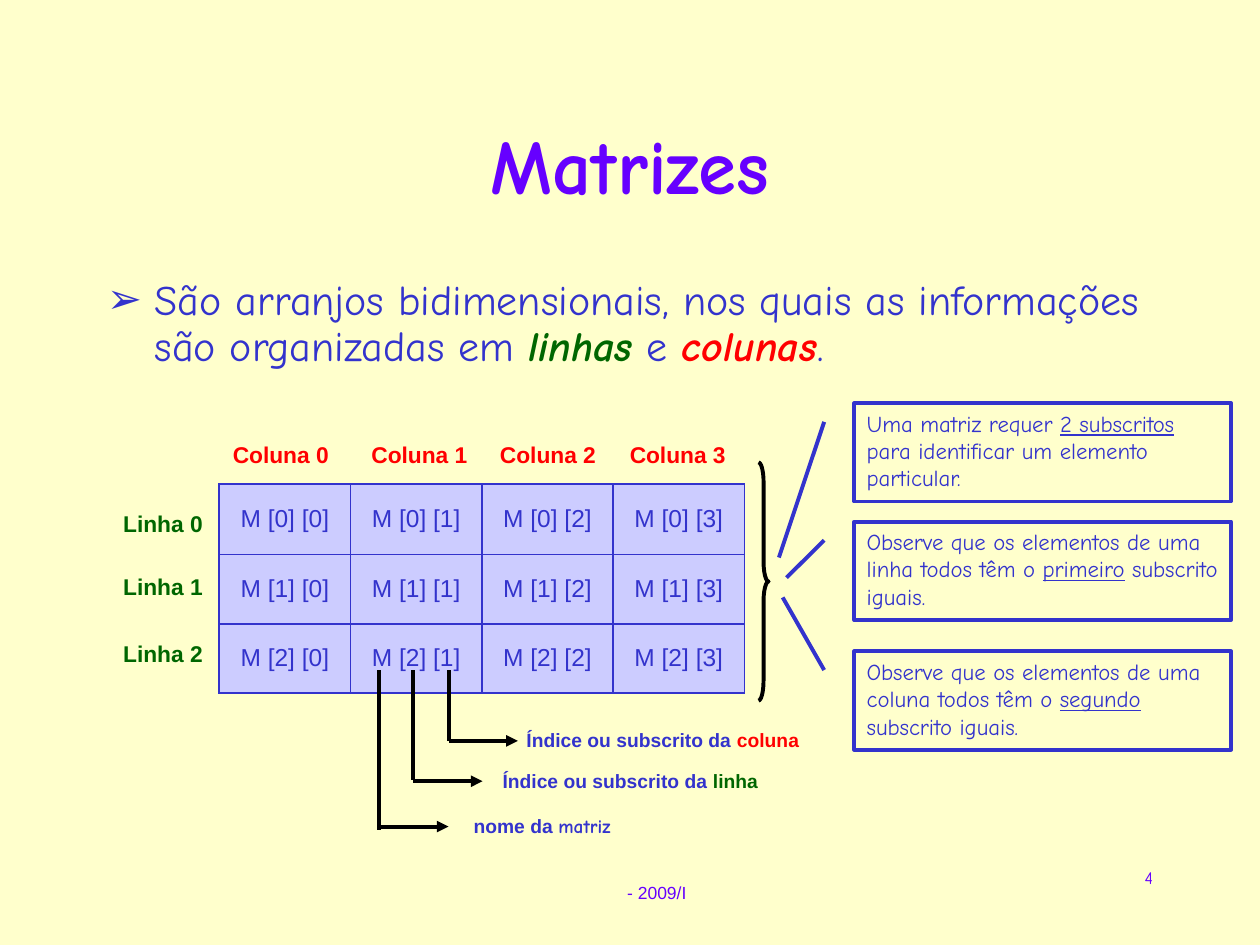
from lxml import etree
from pptx import Presentation
from pptx.dml.color import RGBColor
from pptx.enum import shapes, text
from pptx.oxml import ns
from pptx.util import Inches, Pt

CREAM = RGBColor(0xFF, 0xFF, 0xCC)
VIOLET = RGBColor(0x66, 0x00, 0xFF)
BLUE = RGBColor(0x33, 0x33, 0xCC)
LILAC = RGBColor(0xCC, 0xCC, 0xFF)
RED = RGBColor(0xFF, 0x00, 0x00)
GREEN = RGBColor(0x00, 0x66, 0x00)
BLACK = RGBColor(0x00, 0x00, 0x00)
SANS, COMIC = "Arial", "Comic Neue"


def write(frame, runs, size, font, color, align=text.PP_ALIGN.LEFT, **shared):
    """Fill the first paragraph; each run is (wording, overrides of the shared style)."""
    paragraph = frame.paragraphs[0]
    paragraph.alignment = align
    for wording, changes in runs:
        style = {"name": font, "color": color, **shared, **changes}
        run = paragraph.add_run()
        run.text = wording
        run.font.size = Pt(size)
        run.font.color.rgb = style.pop("color")
        for attribute, value in style.items():
            setattr(run.font, attribute, value)


def add_text(left, top, width, height, *args, wrap=False, **style):
    frame = slide.shapes.add_textbox(
        Inches(left), Inches(top), Inches(width), Inches(height)).text_frame
    frame.word_wrap = wrap
    write(frame, *args, **style)
    return frame


deck = Presentation()
deck.slide_width, deck.slide_height = Inches(10), Inches(7.5)
slide = deck.slides.add_slide(deck.slide_layouts[6])
slide.background.fill.solid()
slide.background.fill.fore_color.rgb = CREAM

# Footer, title and definition
add_text(4.88, 6.95, 0.67, 0.27, [("- 2009/I", {})], 10, SANS, VIOLET)
title = add_text(0.75, 0.67, 8.5, 1.25, [("Matrizes", {})], 44, COMIC, VIOLET,
                 wrap=True, align=text.PP_ALIGN.CENTER, bold=True)
title.vertical_anchor = text.MSO_ANCHOR.MIDDLE

definition = add_text(
    0.75, 2.17, 8.5, 1.11,
    [("São arranjos bidimensionais, nos quais as informações são organizadas em ", {}),
     ("linhas", {"color": GREEN, "bold": True, "italic": True}),
     (" e ", {}),
     ("colunas", {"color": RED, "bold": True, "italic": True}),
     (".", {})],
    24, COMIC, BLUE, wrap=True).paragraphs[0]
properties = definition._p.get_or_add_pPr()
properties.set("marL", str(Inches(0.38)))
properties.set("indent", str(-Inches(0.38)))
bullet_color = etree.SubElement(properties, ns.qn("a:buClr"))
etree.SubElement(bullet_color, ns.qn("a:srgbClr"), val=str(BLUE))
etree.SubElement(properties, ns.qn("a:buFont"), typeface=COMIC)
etree.SubElement(properties, ns.qn("a:buChar"), char="➢")
definition.line_spacing = 0.9

# Matrix
ROW_HEIGHTS = [0.56, 0.55, 0.55]
COLUMNS = 4
matrix = slide.shapes.add_table(
    len(ROW_HEIGHTS), COLUMNS, Inches(1.74), Inches(3.84), Inches(4.17), Inches(1.66)).table
matrix.first_row = matrix.horz_banding = False
for row, height in enumerate(ROW_HEIGHTS):
    matrix.rows[row].height = Inches(height)
    for column in range(COLUMNS):
        cell = matrix.cell(row, column)
        cell.vertical_anchor = text.MSO_ANCHOR.MIDDLE
        write(cell.text_frame, [(f"M [{row}] [{column}]", {})], 14, SANS, BLUE,
              align=text.PP_ALIGN.CENTER)
        cell_properties = cell._tc.get_or_add_tcPr()
        for side in ("lnL", "lnR", "lnT", "lnB"):
            border = etree.SubElement(cell_properties, ns.qn(f"a:{side}"), w=str(Pt(1.08)))
            border_fill = etree.SubElement(border, ns.qn("a:solidFill"))
            etree.SubElement(border_fill, ns.qn("a:srgbClr"), val=str(BLUE))
        cell.fill.solid()
        cell.fill.fore_color.rgb = LILAC

for number, left in enumerate([1.75, 2.85, 3.87, 4.9]):
    add_text(left, 3.45, 0.96, 0.32, [(f"Coluna {number}", {})], 13, SANS, RED, bold=True)
for number, top in enumerate([4, 4.5, 5.03]):
    add_text(0.88, top, 0.83, 0.32, [(f"Linha {number}", {})], 13, SANS, GREEN, bold=True)

# Parts of an element: stem x, stem bottom, arrow y, label box, label runs
INDEX = "Índice ou subscrito da "
element_parts = [
    (3.56, 5.88, 5.88, (4.08, 5.73, 2.42), INDEX, "coluna", {"color": RED}),
    (3.28, 6.19, 6.2, (3.89, 6.06, 2.28), INDEX, "linha", {"color": GREEN}),
    (3.01, 6.59, 6.56, (3.66, 6.41, 1.32), "nome da ", "matriz", {"name": COMIC}),
]
for x, stem_bottom, arrow_y, label_box, lead, term, term_style in element_parts:
    for start, end, has_head in [((x, 5.32), (x, stem_bottom), False),
                                 ((x, arrow_y), (x + 0.55, arrow_y), True)]:
        pointer = slide.shapes.add_connector(
            shapes.MSO_CONNECTOR.STRAIGHT, *map(Inches, start + end))
        pointer.line.color.rgb = BLACK
        pointer.line.width = Pt(2.25)
        if has_head:
            etree.SubElement(pointer.line._get_or_add_ln(), ns.qn("a:tailEnd"), type="triangle")
        etree.SubElement(pointer._element.spPr, ns.qn("a:effectLst"))
    add_text(*label_box, 0.29, [(lead, {}), (term, term_style)], 11, SANS, BLUE, bold=True)

# Remarks with leader lines: top, leader end as shares of height and width, wording
remarks = [
    (3.2, 1.57, -0.2, "Uma matriz requer ", "2 subscritos",
     " para identificar um elemento particular."),
    (4.14, 0.57, -0.18, "Observe que os elementos de uma linha todos têm o ", "primeiro",
     " subscrito iguais."),
    (5.17, -0.55, -0.19, "Observe que os elementos de uma coluna todos têm o ", "segundo",
     " subscrito iguais."),
]
for top, leader_y, leader_x, before, key, after in remarks:
    remark = slide.shapes.add_shape(shapes.MSO_SHAPE.LINE_CALLOUT_1, Inches(6.78), Inches(top),
                                    Inches(2.99), Inches(0.78))
    for position, value in enumerate([0.19, -0.08, leader_y, leader_x]):
        remark.adjustments[position] = value
    remark.shadow.inherit = False
    remark.fill.background()
    remark.line.color.rgb = BLUE
    remark.line.width = Pt(2.25)
    remark.text_frame.word_wrap = True
    remark.text_frame.vertical_anchor = text.MSO_ANCHOR.TOP
    write(remark.text_frame, [(before, {}), (key, {"underline": True}), (after, {})],
          13, COMIC, BLUE)

brace = slide.shapes.add_shape(shapes.MSO_SHAPE.RIGHT_BRACE, Inches(6.02), Inches(3.67),
                               Inches(0.08), Inches(1.89))
brace.adjustments[0] = 1.95
brace.shadow.inherit = False
brace.fill.background()
brace.line.color.rgb = BLACK
brace.line.width = Pt(2.25)

add_text(7.17, 6.83, 2.08, 0.5, [("4", {})], 10, COMIC, VIOLET, wrap=True,
         align=text.PP_ALIGN.RIGHT)

deck.save("out.pptx")
